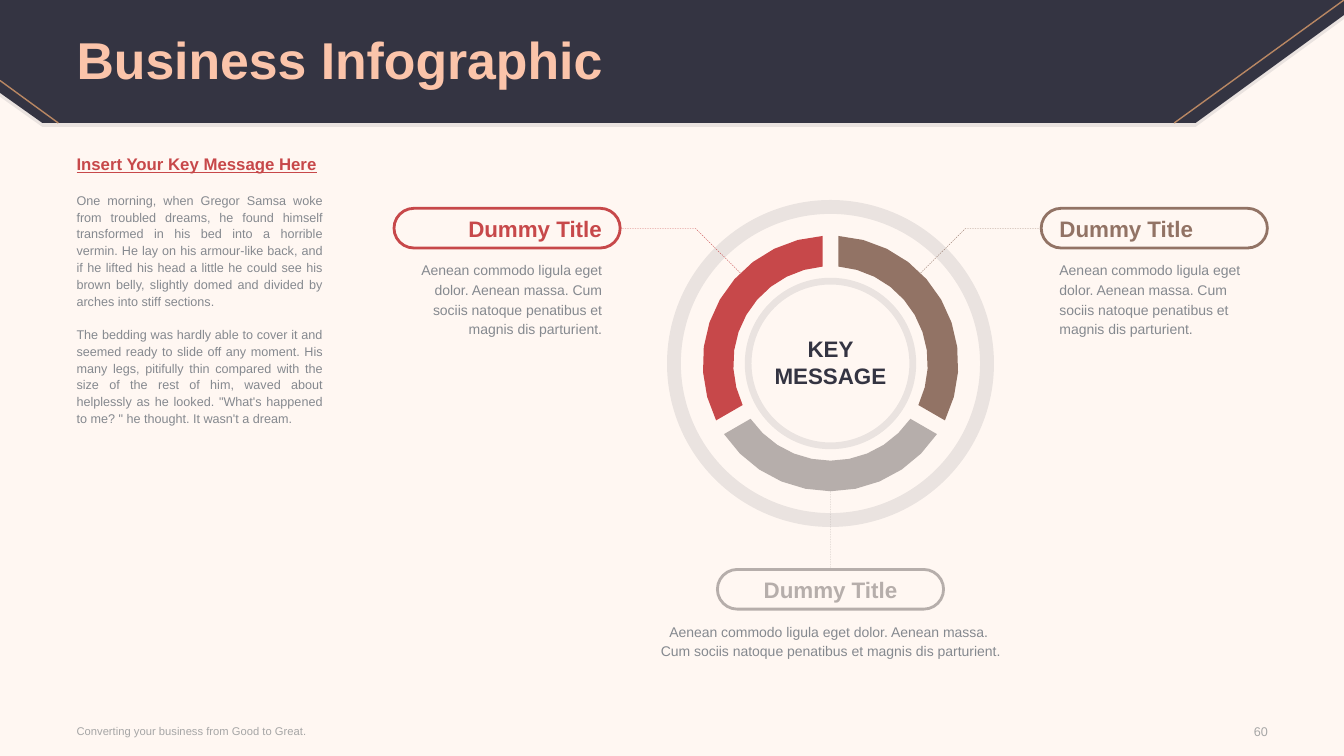
import math

import lxml.etree
import pptx
import pptx.dml.color
import pptx.enum.dml
import pptx.enum.shapes
import pptx.enum.text
import pptx.oxml.ns
import pptx.util

Cm, Pt = pptx.util.Cm, pptx.util.Pt
RGBColor = pptx.dml.color.RGBColor
ALIGN = pptx.enum.text.PP_ALIGN
MIDDLE = pptx.enum.text.MSO_ANCHOR.MIDDLE
TOP = pptx.enum.text.MSO_ANCHOR.TOP
SHAPE = pptx.enum.shapes.MSO_SHAPE
STRAIGHT = pptx.enum.shapes.MSO_CONNECTOR.STRAIGHT
DASH = pptx.enum.dml.MSO_LINE.DASH
qn = pptx.oxml.ns.qn

CREAM = RGBColor(0xFF, 0xF7, 0xF2)
NAVY = RGBColor(0x34, 0x34, 0x42)
GOLD = RGBColor(0xB9, 0x87, 0x63)
PEACH = RGBColor(0xFB, 0xC4, 0xAA)
RED = RGBColor(0xC7, 0x48, 0x4A)
BROWN = RGBColor(0x92, 0x73, 0x65)
TAUPE = RGBColor(0xB6, 0xAE, 0xAB)
TEXT_GREY = RGBColor(0x85, 0x89, 0x8F)
FOOTER_GREY = RGBColor(0xA6, 0xA6, 0xA6)
TITLE_STOPS = {0: GOLD, 35: PEACH, 64: PEACH,
               83: RGBColor(0xBF, 0x89, 0x6E), 100: RGBColor(0x78, 0x4D, 0x31)}

deck = pptx.Presentation()
deck.slide_width, deck.slide_height = Cm(33.87), Cm(19.05)
slide = deck.slides.add_slide(deck.slide_layouts[5])
slide.background.fill.solid()
slide.background.fill.fore_color.rgb = CREAM
shapes = slide.shapes


def write(frame, lines, colour, font_format, para_format, anchor=TOP):
    frame.word_wrap = True
    frame.vertical_anchor = anchor
    frame.margin_left = frame.margin_right = frame.margin_top = frame.margin_bottom = 0
    for index, line in enumerate(lines):
        para = frame.paragraphs[0] if index == 0 else frame.add_paragraph()
        for name, value in para_format.items():
            setattr(para, name, value)
        span = para.add_run()
        span.text = line
        span.font.name = "Arial"
        span.font.color.rgb = colour
        for name, value in font_format.items():
            setattr(span.font, name, value)


def add_outline(points, fill=None, line=None, closed=True):
    corners = [(Cm(x), Cm(y)) for x, y in points]
    builder = shapes.build_freeform(*corners[0])
    builder.add_line_segments(corners[1:], close=closed)
    outline = builder.convert_to_shape()
    outline.shadow.inherit = False
    if fill is None:
        outline.fill.background()
    else:
        outline.fill.solid()
        outline.fill.fore_color.rgb = fill
    if line is None:
        outline.line.fill.background()
    else:
        outline.line.color.rgb = line
    return outline


# Header banner with its soft edge
banner = [(0, 0), (33.87, 0), (33.87, 0.38), (30.13, 3.1), (1.07, 3.1), (0, 2.34)]
faint_shapes = [add_outline([(x, y + 0.1) for x, y in banner], fill=NAVY)]
add_outline(banner, fill=NAVY)

# Gold lines across the banner corners
connectors = []
for ends in [(33.87, 0, 29.59, 3.1), (0, 2.03, 1.47, 3.1)]:
    gold_line = shapes.add_connector(STRAIGHT, *map(Cm, ends))
    gold_line.line.color.rgb = GOLD
    gold_line.line.width = Pt(1)
    connectors.append(gold_line)

# Title, in front of the banner
title = shapes.title
title.left, title.top, title.width, title.height = Cm(1.93), Cm(0.1), Cm(30), Cm(2.97)
write(title.text_frame, ["Business Infographic"], GOLD, {"size": Pt(37), "bold": True},
      {"alignment": ALIGN.LEFT, "line_spacing": 0.9}, MIDDLE)
title_font = title.text_frame.paragraphs[0].runs[0].font
title_font.fill.gradient()
title_font.fill.gradient_angle = 0
stop_list = next(title._element.iter(qn("a:gsLst")))
for stop in list(stop_list):
    stop_list.remove(stop)
for percent, colour in TITLE_STOPS.items():
    stop = lxml.etree.SubElement(stop_list, qn("a:gs"), pos=str(percent * 1000))
    lxml.etree.SubElement(stop, qn("a:srgbClr"), val=str(colour))
title._element.getparent().append(title._element)

# Key message text on the left
body = shapes.add_textbox(Cm(1.93), Cm(3.97), Cm(6.2), Cm(13.18)).text_frame
body_spacing = {"alignment": ALIGN.JUSTIFY, "line_spacing": Pt(12)}
write(body, ["Insert Your Key Message Here"], RED,
      {"size": Pt(12), "bold": True, "underline": True}, body_spacing)
for story in [
    "One morning, when Gregor Samsa woke from troubled dreams, he found himself transformed "
    "in his bed into a horrible vermin. He lay on his armour-like back, and if he lifted his "
    "head a little he could see his brown belly, slightly domed and divided by arches into "
    "stiff sections.",
    "The bedding was hardly able to cover it and seemed ready to slide off any moment. His "
    "many legs, pitifully thin compared with the size of the rest of him, waved about "
    "helplessly as he looked. \"What's happened to me? \" he thought. It wasn't a dream.",
]:
    para = body.add_paragraph()
    for name, value in {**body_spacing, "space_before": Pt(12)}.items():
        setattr(para, name, value)
    span = para.add_run()
    span.text = story
    span.font.name, span.font.size = "Arial", Pt(9)
    span.font.color.rgb = TEXT_GREY

# Footer and page number
for left, width, text, size, align in [
    (1.93, 13.28, "Converting your business from Good to Great.", 8, ALIGN.LEFT),
    (30.35, 1.6, "60", 9, ALIGN.RIGHT),
]:
    box = shapes.add_textbox(Cm(left), Cm(18.1), Cm(width), Cm(0.66))
    write(box.text_frame, [text], FOOTER_GREY, {"size": Pt(size)}, {"alignment": align}, MIDDLE)

# Pale rings around the wheel
center_x, center_y = 20.93, 9.16
for radius, thickness in [(2.16, 0.17), (4.12, 0.35)]:
    ring = shapes.add_shape(SHAPE.DONUT, Cm(center_x - radius), Cm(center_y - radius),
                            Cm(2 * radius), Cm(2 * radius))
    ring.adjustments[0] = thickness / (2 * radius)
    ring.shadow.inherit = False
    ring.fill.solid()
    ring.fill.fore_color.rgb = NAVY
    ring.line.fill.background()
    faint_shapes.append(ring)

for shape in faint_shapes:
    fill_colour = next(shape._element.spPr.iter(qn("a:srgbClr")))
    lxml.etree.SubElement(fill_colour, qn("a:alpha"), val="10000")

# Bent leaders, mirrored about the wheel
for side, colour in [(-1, RED), (1, BROWN)]:
    bends = [(center_x + side * x, y) for x, y in [(2.27, 6.88), (3.4, 5.76), (5.25, 5.76)]]
    leader = add_outline(bends, line=colour, closed=False)
    leader.line.width = Pt(0.25)
    leader.line.dash_style = DASH

# Wheel segments, parted by gaps of equal width
outer_radius, inner_radius, half_gap, steps = 3.22, 2.45, 0.2, 10
for start, colour in [(30, TAUPE), (150, RED), (-90, BROWN)]:
    edge = []
    for radius, order in [(outer_radius, range(steps + 1)), (inner_radius, range(steps, -1, -1))]:
        trim = math.asin(half_gap / radius)
        sweep = math.radians(120) - 2 * trim
        for step in order:
            angle = math.radians(start) + trim + sweep * step / steps
            edge.append((center_x + radius * math.cos(angle), center_y + radius * math.sin(angle)))
    add_outline(edge, fill=colour)

# Pills, their titles and captions
caption = ("Aenean commodo ligula eget dolor. Aenean massa. "
           "Cum sociis natoque penatibus et magnis dis parturient.")
caption_lines = ["Aenean commodo ligula eget dolor. Aenean massa. ",
                 "Cum sociis natoque penatibus et magnis dis parturient."]
for left, top, colour, align, title_left, caption_left, caption_width, lines in [
    (18.08, 14.35, TAUPE, ALIGN.CENTER, 18.58, 16.43, 9, caption_lines),
    (9.93, 5.25, RED, ALIGN.RIGHT, 10.47, 10.27, 4.9, [caption]),
    (26.24, 5.25, BROWN, ALIGN.LEFT, 26.7, 26.7, 4.9, [caption]),
]:
    box = shapes.add_textbox(Cm(caption_left), Cm(top + 1.28), Cm(caption_width),
                             Cm(2 / len(lines)))
    write(box.text_frame, lines, TEXT_GREY, {"size": Pt(10)},
          {"alignment": align, "line_spacing": Pt(14)})
    box = shapes.add_textbox(Cm(title_left), Cm(top + 0.17), Cm(4.7), Cm(0.68))
    write(box.text_frame, ["Dummy Title"], colour, {"size": Pt(16), "bold": True},
          {"alignment": align})
    pill = shapes.add_shape(SHAPE.ROUNDED_RECTANGLE, Cm(left), Cm(top), Cm(5.7), Cm(1))
    pill.adjustments[0] = 0.5
    pill.shadow.inherit = False
    pill.fill.background()
    pill.line.color.rgb = colour
    pill.line.width = Pt(2)
    # Straight leader from the wheel to the pill below it
    if align == ALIGN.CENTER:
        stem = shapes.add_connector(STRAIGHT, Cm(center_x), Cm(center_y + outer_radius),
                                    Cm(center_x), Cm(top))
        stem.end_connect(pill, 0)
        stem.line.color.rgb = colour
        stem.line.width = Pt(0.25)
        stem.line.dash_style = DASH
        connectors.append(stem)

for connector in connectors:
    lxml.etree.SubElement(connector._element.spPr, qn("a:effectLst"))

# Message in the middle of the wheel
box = shapes.add_textbox(Cm(18.58), Cm(8.44), Cm(4.7), Cm(1.37))
write(box.text_frame, ["KEY", "MESSAGE"], NAVY, {"size": Pt(16), "bold": True},
      {"alignment": ALIGN.CENTER})

deck.save("out.pptx")
